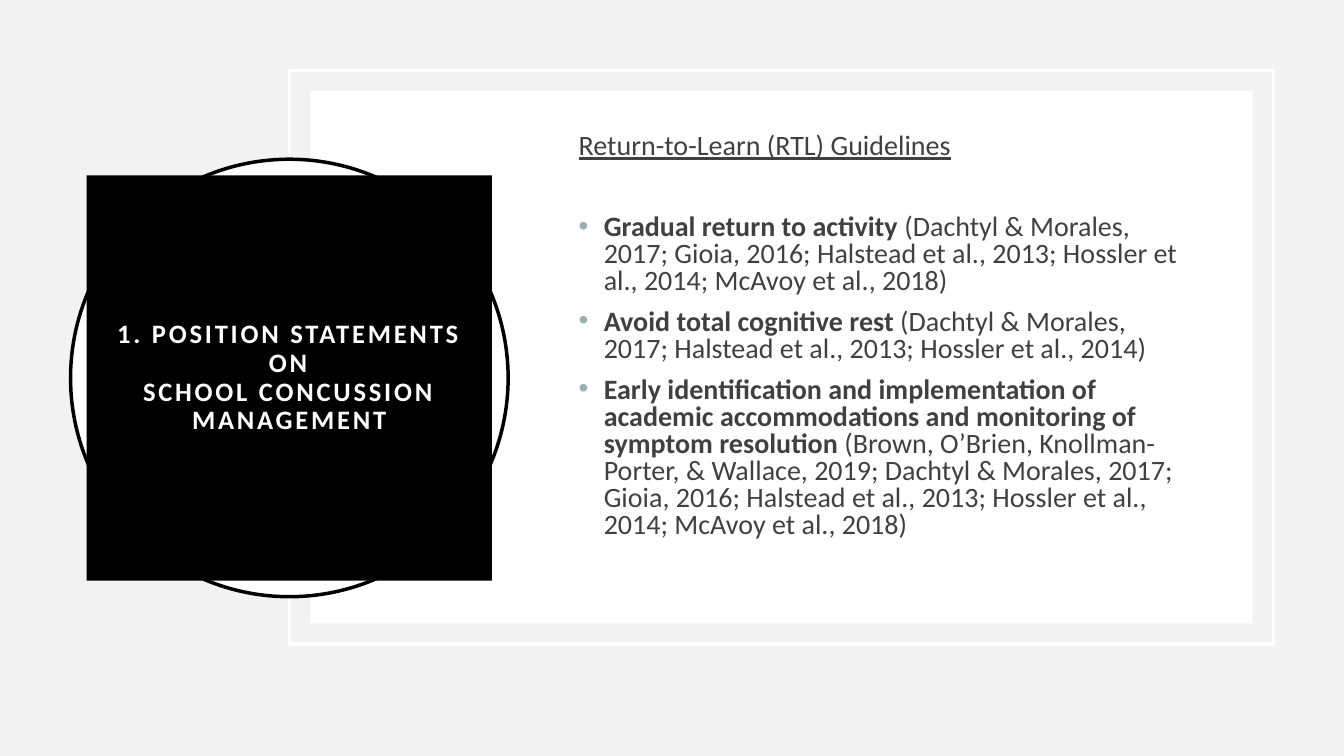
from lxml import etree
from pptx import Presentation
from pptx import util as u
from pptx.dml.color import RGBColor
from pptx.enum import shapes, text
from pptx.oxml.ns import qn

W, H = 13.33, 7.5
COLORS = {"bg": "F2F2F2", "white": "FFFFFF", "black": "000000",
          "body": "404040", "bullet": "9BAFB5"}
TITLE = "1. POSITION STATEMENTS ON\nSCHOOL CONCUSSION MANAGEMENT"
HEADING = "Return-to-Learn (RTL) Guidelines"
GUIDELINES = [
    ("Gradual return to activity ",
     "(Dachtyl & Morales, 2017; Gioia, 2016; Halstead et al., 2013; "
     "Hossler et al., 2014; McAvoy et al., 2018)"),
    ("Avoid total cognitive rest ",
     "(Dachtyl & Morales, 2017; Halstead et al., 2013; Hossler et al., 2014)"),
    ("Early identification and implementation of academic accommodations "
     "and monitoring of symptom resolution ",
     "(Brown, O’Brien, Knollman-Porter, & Wallace, 2019; "
     "Dachtyl & Morales, 2017; Gioia, 2016; Halstead et al., 2013; "
     "Hossler et al., 2014; McAvoy et al., 2018)"),
]


def rgb(name):
    return RGBColor.from_string(COLORS[name])


def inset(box, d):
    x, y, w, h = box
    return x + d, y + d, w - 2 * d, h - 2 * d


def add_shape(s, kind, box, fill=None, line=None):
    sp = s.shapes.add_shape(kind, *map(u.Inches, box))
    sp.shadow.inherit = False
    if fill:
        sp.fill.solid()
        sp.fill.fore_color.rgb = rgb(fill)
    else:
        sp.fill.background()
    if line:
        sp.line.color.rgb = rgb(line)
        sp.line.width = u.Pt(2.5)
    else:
        sp.line.fill.background()
    return sp


def add_text(p, content, size=20, color="body", bold=False, underline=False,
             tracking=0):
    for i, part in enumerate(content.split("\n")):
        if i:
            p.add_line_break()
        r = p.add_run()
        r.text = part
        f = r.font
        f.name, f.size, f.bold, f.underline = "Calibri", u.Pt(size), bold, underline
        f.color.rgb = rgb(color)
        if tracking:
            r._r.get_or_add_rPr().set("spc", str(tracking * 100))


def add_bullet(p, indent=0.25):
    pPr = p._p.get_or_add_pPr()
    pPr.set("marL", str(u.Inches(indent)))
    pPr.set("indent", str(-u.Inches(indent)))
    clr = etree.SubElement(pPr, qn("a:buClr"))
    etree.SubElement(clr, qn("a:srgbClr"), val=COLORS["bullet"])
    etree.SubElement(pPr, qn("a:buFont"), typeface="Arial")
    etree.SubElement(pPr, qn("a:buChar"), char="•")


def draw_panel(s, box):
    add_shape(s, shapes.MSO_SHAPE.RECTANGLE, box, line="white")
    add_shape(s, shapes.MSO_SHAPE.RECTANGLE, inset(box, 0.205), fill="white")


def draw_title(s, box):
    add_shape(s, shapes.MSO_SHAPE.OVAL, box, fill="white", line="black")
    sp = add_shape(s, shapes.MSO_SHAPE.RECTANGLE, inset(box, 0.16), fill="black")
    tf = sp.text_frame
    tf.word_wrap = True
    tf.vertical_anchor = text.MSO_ANCHOR.MIDDLE
    tf.margin_left = tf.margin_right = u.Inches(0.2)
    tf.margin_top = tf.margin_bottom = u.Inches(0.2)
    p = tf.paragraphs[0]
    p.alignment = text.PP_ALIGN.CENTER
    p.line_spacing = 0.9
    add_text(p, TITLE, size=19, color="white", bold=True, tracking=2)


def draw_guidelines(s, box):
    tf = s.shapes.add_textbox(*map(u.Inches, box)).text_frame
    tf.word_wrap = True
    p = tf.paragraphs[0]
    p.line_spacing = 0.8
    add_text(p, HEADING, underline=True)
    for i, (advice, sources) in enumerate(GUIDELINES):
        p = tf.add_paragraph()
        p.line_spacing = 0.8
        p.space_before = u.Pt(10 if i else 39)
        add_bullet(p)
        add_text(p, advice, bold=True)
        add_text(p, sources)


def main():
    prs = Presentation()
    prs.slide_width, prs.slide_height = u.Inches(W), u.Inches(H)
    s = prs.slides.add_slide(prs.slide_layouts[6])
    s.background.fill.solid()
    s.background.fill.fore_color.rgb = rgb("bg")
    draw_panel(s, (2.87, 0.7, 9.76, 5.69))
    draw_title(s, (0.7, 1.58, 4.34, 4.34))
    draw_guidelines(s, (5.64, 1.28, 6.25, 4.4))
    prs.save("out.pptx")


if __name__ == "__main__":
    main()
